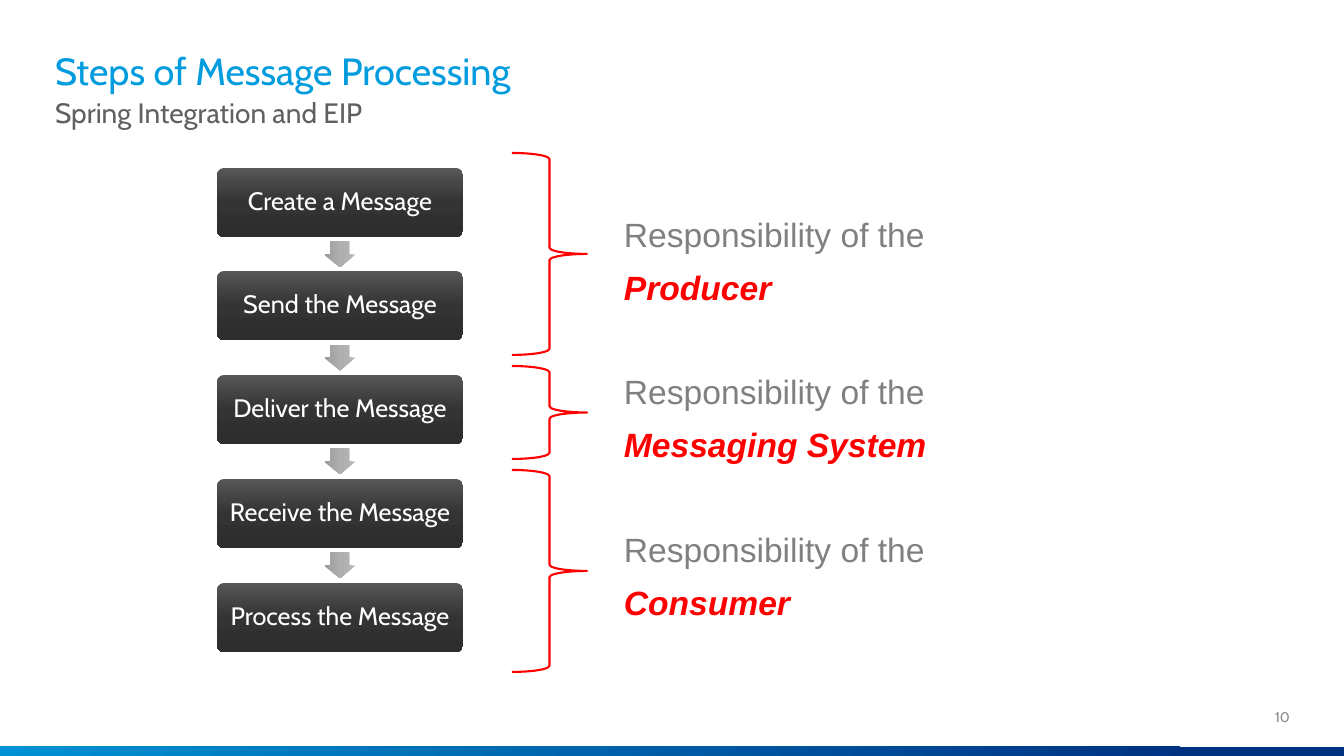
from dataclasses import dataclass

from lxml.etree import SubElement
from pptx import Presentation
from pptx.dml.color import RGBColor
from pptx.enum.shapes import MSO_SHAPE
from pptx.enum.text import MSO_ANCHOR, MSO_AUTO_SIZE, PP_ALIGN
from pptx.oxml.ns import qn
from pptx.util import Pt


@dataclass(frozen=True)
class Theme:
    heading_font: str = "Cabin"
    body_font: str = "Arial"
    title: str = "009CDE"
    subtitle: str = "606060"
    page: str = "858585"
    step: str = "FFFFFF"
    body: str = "808080"
    accent: str = "FF0000"
    step_fill: tuple = ((0, "575757"), (50, "333333"), (100, "2D2D2D"))
    arrow_fill: tuple = ((0, "B7B7B7"), (50, "AEAEAE"), (100, "9B9B9B"))
    bar_fill: tuple = ((0, "0092D4"), (89, "003181"))
    title_size: int = 27
    subtitle_size: int = 20
    step_size: int = 18
    body_size: int = 24
    page_size: int = 10


theme = Theme()
SCALE = 914400 / 100.8


def px(*lengths):
    return [round(length * SCALE) for length in lengths]


def write(frame, text, *, size, color, font=theme.heading_font, bold=False, italic=False,
          align=PP_ALIGN.LEFT, anchor=MSO_ANCHOR.TOP, spacing=1.0, margins=(0, 0, 0, 0)):
    frame.word_wrap = True
    frame.auto_size = MSO_AUTO_SIZE.NONE
    frame.vertical_anchor = anchor
    frame.margin_left, frame.margin_top, frame.margin_right, frame.margin_bottom = px(*margins)
    paragraph = frame.paragraphs[0]
    paragraph.alignment = align
    paragraph.line_spacing = spacing
    paragraph.space_before = Pt(0)
    run = paragraph.add_run()
    run.text = text
    run.font.name = font
    run.font.size = Pt(size)
    run.font.bold = bold
    run.font.italic = italic
    run.font.color.rgb = RGBColor.from_string(color)


presentation = Presentation()
presentation.slide_width, presentation.slide_height = px(1344, 756)
slide = presentation.slides.add_slide(presentation.slide_layouts[5])
shapes = slide.shapes

title = shapes.title
title.left, title.top, title.width, title.height = px(55, 58, 1233, 35)
write(title.text_frame, "Steps of Message Processing", size=theme.title_size,
      color=theme.title, anchor=MSO_ANCHOR.BOTTOM, spacing=0.85)

subtitle = shapes.add_textbox(*px(55, 94, 1234, 52))
write(subtitle.text_frame, "Spring Integration and EIP", size=theme.subtitle_size,
      color=theme.subtitle, spacing=0.9, margins=(0, 5, 10, 5))

page_number = shapes.add_textbox(*px(1232, 701, 58, 32))
write(page_number.text_frame, "10", size=theme.page_size, color=theme.page,
      align=PP_ALIGN.RIGHT, anchor=MSO_ANCHOR.MIDDLE, margins=(0, 5, 0, 5))

bar = shapes.add_shape(MSO_SHAPE.RECTANGLE, *px(0, 747, 1344, 9))
gradients = [(bar, theme.bar_fill)]

steps = ["Create a Message", "Send the Message", "Deliver the Message",
         "Receive the Message", "Process the Message"]
for index, label in enumerate(steps):
    top = 168 + index * 415 // 4
    step = shapes.add_shape(MSO_SHAPE.ROUNDED_RECTANGLE, *px(217, top, 246, 69))
    step.adjustments[0] = 0.1
    write(step.text_frame, label, size=theme.step_size, color=theme.step,
          align=PP_ALIGN.CENTER, anchor=MSO_ANCHOR.MIDDLE, spacing=0.9, margins=(9, 9, 9, 9))
    gradients.append((step, theme.step_fill))
    if index < len(steps) - 1:
        arrow = shapes.add_shape(MSO_SHAPE.RIGHT_ARROW, *px(327, top + 71, 26, 31))
        arrow.rotation = 90
        arrow.adjustments[0] = 0.6
        arrow.adjustments[1] = 0.5
        gradients.append((arrow, theme.arrow_fill))

for shape, stops in gradients:
    shape.shadow.inherit = False
    shape.line.fill.background()
    shape.fill.gradient()
    shape.fill.gradient_angle = 270
    gradient = shape.element.spPr.find(qn("a:gradFill"))
    stop_list = gradient.find(qn("a:gsLst"))
    for old_stop in list(stop_list):
        stop_list.remove(old_stop)
    for position, color in stops:
        stop = SubElement(stop_list, qn("a:gs"), pos=str(position * 1000))
        SubElement(stop, qn("a:srgbClr"), val=color)

bar_gradient = bar.element.spPr.find(qn("a:gradFill"))
bar_gradient.remove(bar_gradient.find(qn("a:lin")))
circle = SubElement(bar_gradient, qn("a:path"), path="circle")
SubElement(circle, qn("a:fillToRect"), r="100000", b="100000")

roles = [("Producer", 153, 202, 197),
         ("Messaging System", 366, 93, 354),
         ("Consumer", 470, 202, 512)]
for role, brace_top, brace_height, text_top in roles:
    brace = shapes.add_shape(MSO_SHAPE.RIGHT_BRACE, *px(512, brace_top, 75, brace_height))
    brace.shadow.inherit = False
    brace.fill.background()
    brace.line.color.rgb = RGBColor.from_string(theme.accent)
    brace.line.width = Pt(1.5)

    frame = shapes.add_textbox(*px(614, text_top, 521, 116)).text_frame
    body_format = dict(size=theme.body_size, font=theme.body_font, spacing=1.3,
                       margins=(10, 5, 10, 5))
    write(frame, "Responsibility of the", color=theme.body, **body_format)
    frame.paragraphs[0].add_line_break()
    write(frame, role, color=theme.accent, bold=True, italic=True, **body_format)

presentation.save("out.pptx")
